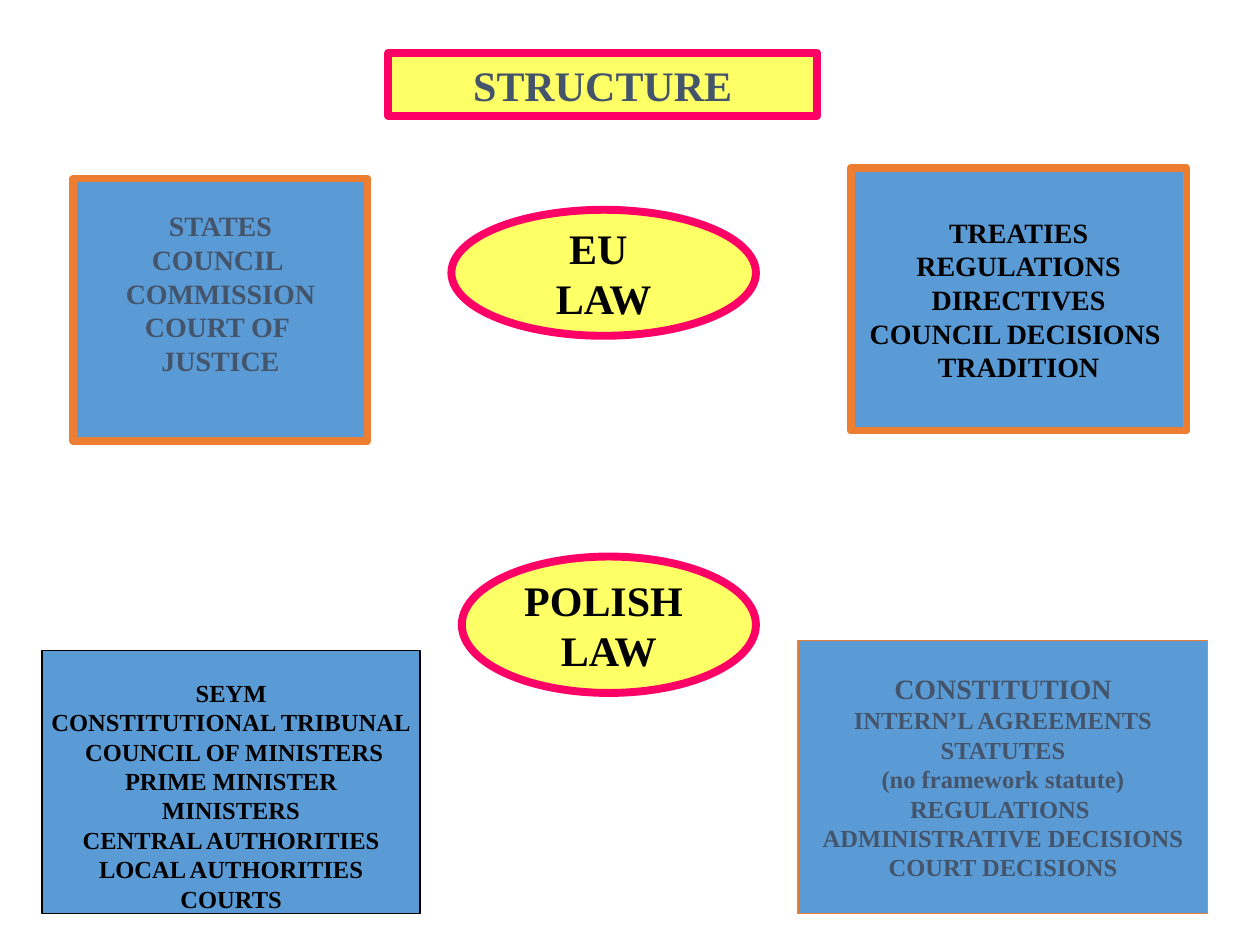
from pptx import Presentation
from pptx.dml.color import RGBColor
from pptx.enum.shapes import MSO_SHAPE as Shape
from pptx.enum.text import MSO_ANCHOR as Anchor, MSO_AUTO_SIZE as AutoSize, PP_ALIGN as Align
from pptx.util import Cm, Pt

# Content
TITLE = "STRUCTURE"
LAWS = [
    {"lines": ["EU ", "LAW"], "place": (9.1, 4.23, 6.14, 2.54)},
    {"lines": ["POLISH ", "LAW"], "place": (9.31, 11.22, 5.93, 2.75)},
]
PANELS = [
    {"lines": ["STATES", "COUNCIL ", "COMMISSION", "COURT OF ", "JUSTICE"],
     "place": (1.48, 3.6, 5.93, 5.29), "ink": "slate", "size": "large",
     "edge": "orange", "weight": "thick", "bottom": 0.81},
    {"lines": ["TREATIES", "REGULATIONS", "DIRECTIVES", "COUNCIL DECISIONS ", "TRADITION"],
     "place": (17.15, 3.39, 6.77, 5.29), "ink": "black", "size": "large",
     "edge": "orange", "weight": "thick"},
    {"lines": ["CONSTITUTION", "INTERN’L AGREEMENTS", "STATUTES", "(no framework statute)",
               "REGULATIONS ", "ADMINISTRATIVE DECISIONS", "COURT DECISIONS"],
     "place": (16.09, 12.91, 8.26, 5.5), "ink": "slate", "size": "small",
     "first_size": "large", "edge": "orange", "weight": "thin"},
    {"lines": ["SEYM", "CONSTITUTIONAL TRIBUNAL", " COUNCIL OF MINISTERS", "PRIME MINISTER",
               "MINISTERS", "CENTRAL AUTHORITIES", "LOCAL AUTHORITIES", "COURTS"],
     "place": (0.85, 13.12, 7.62, 5.29), "ink": "black", "size": "small",
     "edge": "black", "weight": "thin", "top": 0.54, "bottom": 0},
]

THEME = {
    "font": "Times New Roman",
    "colors": {"yellow": "FFFF66", "pink": "FF0066", "blue": "5B9BD5",
               "orange": "ED7D31", "slate": "44546A", "black": "000000"},
    "sizes": {"heading": 24, "large": 16, "small": 14},
    "weights": {"thick": 4.5, "thin": 0.75},
}


def color(name):
    return RGBColor.from_string(THEME["colors"][name])


def place_box(box, place):
    box.left, box.top, box.width, box.height = map(Cm, place)


def paint(box, fill, edge, weight):
    box.fill.solid()
    box.fill.fore_color.rgb = color(fill)
    box.line.color.rgb = color(edge)
    box.line.width = Pt(THEME["weights"][weight])


def write(box, lines, ink, size, first_size=None, top=0.13, bottom=0.13,
          anchor=Anchor.MIDDLE, wrap=False):
    frame = box.text_frame
    frame.text = "\n".join(lines)
    frame.word_wrap = wrap
    frame.auto_size = AutoSize.NONE
    frame.vertical_anchor = anchor
    frame.margin_left = frame.margin_right = Cm(0.25)
    frame.margin_top, frame.margin_bottom = Cm(top), Cm(bottom)
    for index, para in enumerate(frame.paragraphs):
        para.alignment = Align.CENTER
        chosen = first_size if first_size and index == 0 else size
        for span in para.runs:
            span.font.name = THEME["font"]
            span.font.size = Pt(THEME["sizes"][chosen])
            span.font.bold = True
            span.font.color.rgb = color(ink)


def add_box(page, kind, place, fill, edge, weight, **text):
    box = page.shapes.add_shape(kind, *map(Cm, place))
    box.shadow.inherit = False
    paint(box, fill, edge, weight)
    write(box, **text)


def main():
    deck = Presentation()
    deck.slide_width, deck.slide_height = Cm(25.4), Cm(19.05)
    page = deck.slides.add_slide(deck.slide_layouts[5])

    # Title
    title = page.shapes.title
    place_box(title, (7.83, 1.06, 8.64, 1.28))
    paint(title, "yellow", "pink", "thick")
    write(title, [TITLE], "slate", "heading", anchor=Anchor.TOP, wrap=True)

    # Bodies of law
    for law in LAWS:
        add_box(page, Shape.OVAL, fill="yellow", edge="pink", weight="thick",
                ink="black", size="heading", **law)

    # Institutions on the left, sources of law on the right
    for panel in PANELS:
        add_box(page, Shape.RECTANGLE, fill="blue", **panel)

    deck.save("out.pptx")


if __name__ == "__main__":
    main()
